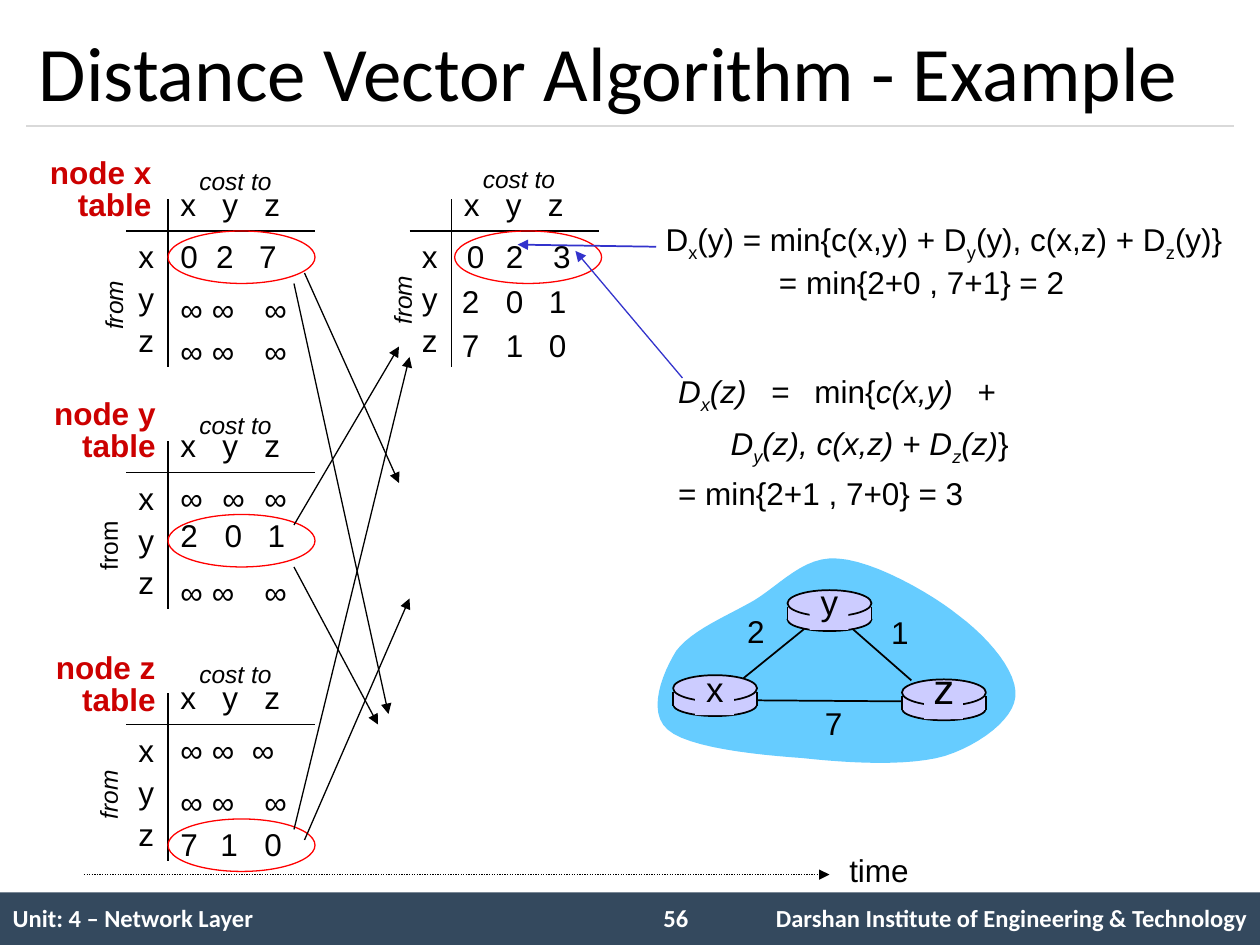
from lxml import etree
from pptx import Presentation
from pptx.dml.color import RGBColor
from pptx.enum.dml import MSO_LINE
from pptx.enum.shapes import MSO_CONNECTOR, MSO_SHAPE
from pptx.enum.text import MSO_ANCHOR, PP_ALIGN
from pptx.oxml.ns import qn
from pptx.util import Inches, Pt

BLACK = RGBColor(0x00, 0x00, 0x00)
WHITE = RGBColor(0xFF, 0xFF, 0xFF)
SLATE = RGBColor(0x34, 0x49, 0x5E)
GRAY = RGBColor(0xD9, 0xD9, 0xD9)
CRIMSON = RGBColor(0xCC, 0x00, 0x00)
RED = RGBColor(0xFF, 0x00, 0x00)
BLUE = RGBColor(0x33, 0x33, 0xCC)
SKY = RGBColor(0x66, 0xCC, 0xFF)
LILAC = RGBColor(0xCC, 0xCC, 0xFF)

prs = Presentation()
prs.slide_width, prs.slide_height = Inches(10), Inches(7.5)
s = prs.slides.add_slide(prs.slide_layouts[5])

# Grid of 120 columns by 90 rows, square cells
U = prs.slide_width // 120


def add_text(text, x=0, y=0, w=5, h=5, tf=None, size=18, font="Arial", color=BLACK,
             bold=False, italic=False, align=PP_ALIGN.LEFT, anchor=MSO_ANCHOR.TOP,
             spacing=None, tabs=(), indents=(), rotation=0):
    """Write text; *...* is italic, _ lowers the next letter, \\v breaks a line."""
    if tf is None:
        sp = s.shapes.add_textbox(int(x * U), int(y * U), int(w * U), int(h * U))
        sp.rotation = rotation
        tf = sp.text_frame
        tf.word_wrap = True
        tf.vertical_anchor = anchor
    for n, para in enumerate(text.split("\n")):
        p = tf.add_paragraph() if n else tf.paragraphs[0]
        p.alignment = align
        pPr = p._p.get_or_add_pPr()
        if tabs:
            tab_list = etree.SubElement(pPr, qn("a:tabLst"))
            for stop in tabs:
                etree.SubElement(tab_list, qn("a:tab"), pos=str(int(stop * U)), algn="l")
        if indents:
            left, first = indents[n]
            pPr.set("marL", str(int(left * U)))
            pPr.set("indent", str(int(first * U)))
        if spacing:
            p.line_spacing = spacing
        for k, line in enumerate(para.split("\v")):
            if k:
                p.add_line_break()
            for i, chunk in enumerate(line.split("*")):
                for j, piece in enumerate(chunk.split("_")):
                    parts = [(piece[:1], True), (piece[1:], False)] if j else [(piece, False)]
                    for part, lowered in parts:
                        if not part:
                            continue
                        r = p.add_run()
                        r.text = part
                        f = r.font
                        f.name, f.size, f.bold = font, Pt(size), bold
                        f.italic = italic or i % 2 == 1
                        f.color.rgb = color
                        if lowered:
                            f._element.set("baseline", "-25000")


def add_line(x1, y1, x2, y2, color=BLACK, width=0.75, arrow=False, dash=None):
    c = s.shapes.add_connector(MSO_CONNECTOR.STRAIGHT, *(int(v * U) for v in (x1, y1, x2, y2)))
    c.line.color.rgb, c.line.width = color, Pt(width)
    if dash:
        c.line.dash_style = dash
    if arrow:
        etree.SubElement(c.line._get_or_add_ln(), qn("a:tailEnd"), type="triangle")
    etree.SubElement(c._element.spPr, qn("a:effectLst"))


# Footer bar, footer table and page number
bar = s.shapes.add_shape(MSO_SHAPE.RECTANGLE, 0, 85 * U, 120 * U, 5 * U)
bar.shadow.inherit = False
bar.fill.solid()
bar.fill.fore_color.rgb = SLATE
bar.line.fill.background()

footer = dict(size=14, font="Calibri", color=WHITE, bold=True)
tbl = s.shapes.add_table(1, 3, 0, 85 * U, 120 * U, 5 * U).table
tbl.first_row = tbl.horz_banding = False
tbl._tbl.tblPr.find(qn("a:tableStyleId")).text = "{2D5ABB26-0587-4C30-8999-92F81FD0307C}"
for column, cols in zip(tbl.columns, (61, 8, 51)):
    column.width = cols * U
for i, text, align in ((0, "Unit: 4 – Network Layer", PP_ALIGN.LEFT), (1, "", PP_ALIGN.LEFT),
                       (2, "Darshan Institute of Engineering & Technology", PP_ALIGN.RIGHT)):
    cell = tbl.cell(0, i)
    cell.fill.background()
    cell.vertical_anchor = MSO_ANCHOR.MIDDLE
    add_text(text, tf=cell.text_frame, align=align, **footer)
add_text("56", 62, 85.4, 7, 4, **footer)

# Title and rule
title = s.shapes.title
title.left, title.top, title.width, title.height = (int(v * U) for v in (2.5, 1.5, 115, 10.5))
title.text_frame.vertical_anchor = MSO_ANCHOR.MIDDLE
add_text("Distance Vector Algorithm - Example", tf=title.text_frame, size=44, font="Calibri")
add_line(2.5, 12, 117.5, 12, GRAY)

# Distance tables: axis column and top row, "cost to" row, "from" place and slant
for x, y, cost_row, from_x, from_y, slanted in (
        (16, 19, 15.2, 5.8, 25.6, True), (16, 42, 38.5, 5.3, 48.5, False),
        (16, 66, 62.2, 5.3, 72.2, True), (43, 19, 15, 33.3, 25.1, True)):
    add_line(x, y, x, y + 16)
    add_line(x - 4, y + 3, x + 14, y + 3)
    add_text("x\ty\tz", x, y - 2, 14, tabs=(4, 8))
    for i, node in enumerate("xyz"):
        add_text(node, x - 4, y + 3 + 4 * i)
    add_text("cost to", x + 1.8, cost_row, 11, 4, size=14, italic=True)
    add_text("from", from_x, from_y, 10, 4, size=14, italic=slanted, rotation=270)

# Table names, right-aligned
for node, right, y in (("x", 15.6, 14.5), ("y", 16, 37.5), ("z", 16, 61.7)):
    add_text(f"node {node}\ntable", right - 14, y, 14, 7.3, color=CRIMSON, bold=True,
             align=PP_ALIGN.RIGHT, spacing=0.85)

# Costs: whole rows, then single entries
for text, x, y, tabs in (
        ("0\t2\t7", 16, 22, (3.4, 7.5)), ("∞\n2\t0\t1", 16, 45, (4.2, 8.3)),
        ("∞\t∞\t∞", 16, 69, (3, 6.8)), ("2\t0\t1", 42.8, 26.3, (4.2, 8.3)),
        ("7\t1\t0", 42.8, 30.5, (4.2, 8.3))):
    add_text(text, x, y, 14, tabs=tabs)
for y in (27, 31, 54, 74):
    for x in (16, 19, 24):
        add_text("∞", x, y)
for text, x, y in (("∞", 20, 45), ("∞", 24, 45), ("7", 16, 78), ("1", 19.8, 78), ("0", 24, 78),
                   ("0", 43.3, 22), ("2", 47, 22), ("3", 51.5, 22)):
    add_text(text, x, y)

# Rings round the exchanged vectors
for x, y in ((16, 22), (16, 49), (16, 78), (43.3, 22)):
    ring = s.shapes.add_shape(MSO_SHAPE.OVAL, int(x * U), y * U, 14 * U, 5 * U)
    ring.shadow.inherit = False
    ring.fill.background()
    ring.line.color.rgb, ring.line.width = RED, Pt(0.75)

# Exchange arrows and time axis
for ends in ((29, 26, 38, 46), (28, 27, 37, 68), (28, 50, 38, 33),
             (28, 54, 36, 69), (28, 79, 39, 34), (29, 80, 39, 57)):
    add_line(*ends, arrow=True)
add_line(8, 83.3, 79, 83.3, arrow=True, dash=MSO_LINE.ROUND_DOT)
add_text("time", 79.7, 80.5, 10)

# Formulas and their arrows
add_text("D_x(y) = min{c(x,y) + D_y(y), c(x,z) + D_z(y)}\n= min{2+0 , 7+1} = 2",
         62.2, 20.6, 57.5, 8.4, anchor=MSO_ANCHOR.MIDDLE, indents=((0, 0), (10.8, 0)))
add_line(62.5, 23.5, 49.3, 23.3, BLUE, 1, arrow=True)
add_text("*D_x(z)* = min{*c(x,y)* + \v*D_y(z), c(x,z) + D_z(z)*}\n= min{2+1 , 7+0} = 3",
         63.4, 34.6, 35, 14.2, align=PP_ALIGN.JUSTIFY, anchor=MSO_ANCHOR.MIDDLE,
         spacing=1.2, indents=((5, -5), (0, 0)))
add_line(65, 36, 54.8, 23.9, BLUE, arrow=True)

# Network cloud: Bezier segments sampled into a smooth outline
curve = [(64.4, 62), (65.9, 60), (69.2, 58.7), (71.8, 57.2), (74.3, 55.7), (76.6, 52.9),
         (79.8, 53.2), (83.2, 53.4), (88.7, 56.5), (91.4, 58.7), (94.2, 60.8), (97, 64.1),
         (96.7, 66.4), (96.5, 68.5), (93.4, 70.9), (90, 72), (86.6, 73), (80.9, 72.7),
         (76.4, 72.2), (72, 71.9), (65.5, 71.2), (63.6, 69.5), (61.6, 67.8), (63.1, 64.1),
         (64.4, 62)]
STEPS = 12
outline = []
for k in range(0, len(curve) - 1, 3):
    for t in (n / STEPS for n in range(STEPS)):
        weights = ((1 - t) ** 3, 3 * t * (1 - t) ** 2, 3 * t ** 2 * (1 - t), t ** 3)
        outline.append(tuple(int(U * sum(w * q[axis] for w, q in zip(weights, curve[k:k + 4])))
                             for axis in (0, 1)))
builder = s.shapes.build_freeform(*outline[0])
builder.add_line_segments(outline[1:], close=True)
cloud = builder.convert_to_shape()
cloud.shadow.inherit = False
cloud.fill.solid()
cloud.fill.fore_color.rgb = SKY
cloud.line.fill.background()

# Links and their costs
for ends, cost, x, y in (((70.8, 64.6, 76.6, 59.9), "2", 69.5, 57.7),
                         ((81.2, 59.9, 86.8, 64.8), "1", 83.2, 57.8),
                         ((86.2, 66.8, 72.2, 66.7), "7", 76.9, 66.5)):
    add_line(*ends, width=1)
    add_text(cost, x, y, align=PP_ALIGN.CENTER)

# Routers: base, sides, body, top and a patch behind the letter
for node, x, y, text_y, size in (("x", 64.1, 64.3, 63, 20), ("z", 85.9, 64.7, 62.5, 24),
                                 ("y", 75, 56.2, 54.7, 20)):
    for kind, dx, dy, w, h, edged in ((MSO_SHAPE.OVAL, 0, 1.7, 8, 2.2, True),
                                      (MSO_SHAPE.RECTANGLE, 0, 1.6, 8, 1.3, False),
                                      (MSO_SHAPE.OVAL, 0, 0, 8, 2.5, True),
                                      (MSO_SHAPE.RECTANGLE, 2.1, 0.3, 3.7, 3.5, False)):
        sp = s.shapes.add_shape(kind, *(int(v * U) for v in (x + dx, y + dy, w, h)))
        sp.shadow.inherit = False
        sp.fill.solid()
        sp.fill.fore_color.rgb = LILAC
        if edged:
            sp.line.color.rgb, sp.line.width = BLACK, Pt(1)
        else:
            sp.line.fill.background()
    for side in (x, x + 8):
        add_line(side, y + 1.6, side, y + 2.9, width=1)
    add_text(node, x + 1.5, text_y, 5, 6.6, size=size, align=PP_ALIGN.CENTER)

prs.save("out.pptx")
